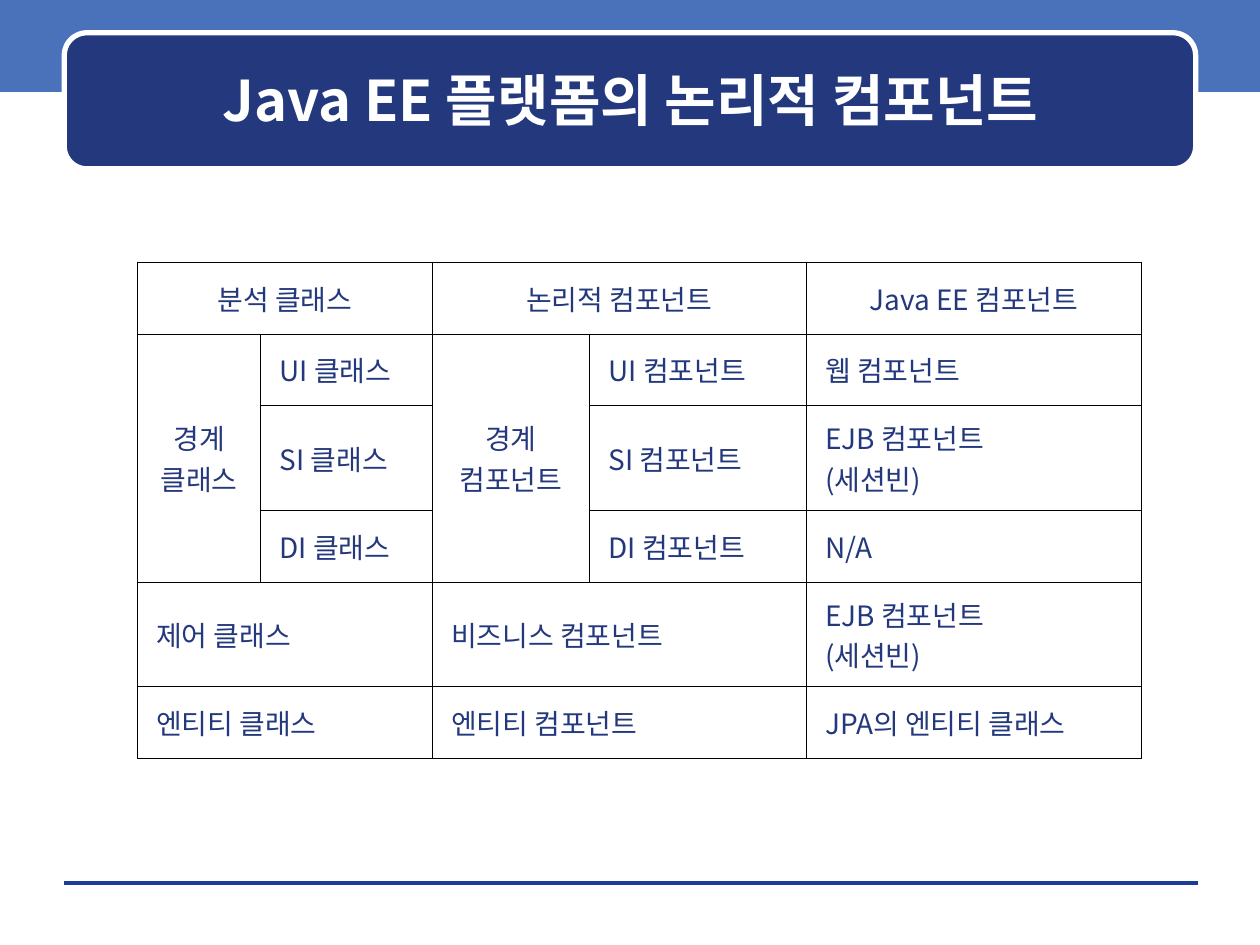
"""Build the slide that maps analysis classes to Java EE logical components."""
from typing import NamedTuple

from lxml import etree
from pptx import Presentation
from pptx import util as u
from pptx.dml import color
from pptx.enum import shapes, text
from pptx.oxml import ns

FONT = "Noto Sans CJK KR"
NAVY = "23387D"
BLUE = "4972BB"
WHITE = "FFFFFF"
COLUMNS = (0.98, 1.36, 1.25, 1.72, 2.66)
ROWS = (0.57, 0.57, 0.83, 0.57, 0.83, 0.57)
CENTER = text.PP_ALIGN.CENTER
JUSTIFY = text.PP_ALIGN.JUSTIFY


class Entry(NamedTuple):
    row: int
    column: int
    wording: str
    align: text.PP_ALIGN = JUSTIFY
    rows: int = 1
    columns: int = 1


ENTRIES = (
    Entry(0, 0, "분석 클래스", CENTER, columns=2),
    Entry(0, 2, "논리적 컴포넌트", CENTER, columns=2),
    Entry(0, 4, "Java EE 컴포넌트", CENTER),
    Entry(1, 0, "경계\n클래스", CENTER, rows=3),
    Entry(1, 1, "UI 클래스"),
    Entry(1, 2, "경계\n컴포넌트", CENTER, rows=3),
    Entry(1, 3, "UI 컴포넌트"),
    Entry(1, 4, "웹 컴포넌트"),
    Entry(2, 1, "SI 클래스"),
    Entry(2, 3, "SI 컴포넌트"),
    Entry(2, 4, "EJB 컴포넌트\n(세션빈)"),
    Entry(3, 1, "DI 클래스"),
    Entry(3, 3, "DI 컴포넌트"),
    Entry(3, 4, "N/A"),
    Entry(4, 0, "제어 클래스", columns=2),
    Entry(4, 2, "비즈니스 컴포넌트", columns=2),
    Entry(4, 4, "EJB 컴포넌트\n(세션빈)"),
    Entry(5, 0, "엔티티 클래스", columns=2),
    Entry(5, 2, "엔티티 컴포넌트", columns=2),
    Entry(5, 4, "JPA의 엔티티 클래스"),
)


def rgb(value: str) -> color.RGBColor:
    return color.RGBColor.from_string(value)


def write(frame, wording: str, size: int, fill: str, align: text.PP_ALIGN, bold: bool = False) -> None:
    frame.text = wording
    frame.vertical_anchor = text.MSO_ANCHOR.MIDDLE
    for para in frame.paragraphs:
        para.alignment = align
        font = para.font
        font.size, font.bold, font.name = u.Pt(size), bold, FONT
        font.color.rgb = rgb(fill)
        defaults = para._p.pPr.find(ns.qn("a:defRPr"))
        etree.SubElement(defaults, ns.qn("a:ea"), typeface=FONT)


def add_panel(page, kind: shapes.MSO_SHAPE, at: tuple[float, ...], fill: str):
    panel = page.shapes.add_shape(kind, *map(u.Inches, at))
    panel.shadow.inherit = False
    panel.fill.solid()
    panel.fill.fore_color.rgb = rgb(fill)
    panel.line.fill.background()
    return panel


def add_footer_line(page) -> None:
    ends = map(u.Inches, (0.51, 7.01, 9.51, 7.01))
    line = page.shapes.add_connector(shapes.MSO_CONNECTOR.STRAIGHT, *ends)
    line.line.color.rgb = rgb("1A3D97")
    line.line.width = u.Pt(0)
    etree.SubElement(line._element.spPr, ns.qn("a:effectLst"))


def add_title(page) -> None:
    title = page.shapes.title
    title.left, title.top, title.width, title.height = map(u.Inches, (0.6, 0.35, 8.81, 0.88))
    write(title.text_frame, "Java EE 플랫폼의 논리적 컴포넌트", 32, WHITE, CENTER, bold=True)
    title.text_frame.auto_size = text.MSO_AUTO_SIZE.NONE
    title.element.getparent().append(title.element)


def style_cell(cell) -> None:
    cell.margin_left = cell.margin_right = u.Inches(0.15)
    cell.margin_top = cell.margin_bottom = u.Inches(0.05)
    cell.vertical_anchor = text.MSO_ANCHOR.MIDDLE
    properties = cell._tc.get_or_add_tcPr()
    for side in ("lnL", "lnR", "lnT", "lnB"):
        border = etree.SubElement(properties, ns.qn(f"a:{side}"), w=str(u.Pt(0.45)))
        fill = etree.SubElement(border, ns.qn("a:solidFill"))
        etree.SubElement(fill, ns.qn("a:srgbClr"), val="000000")
    cell.fill.background()


def add_component_table(page) -> None:
    at = map(u.Inches, (1.09, 2.08, sum(COLUMNS), sum(ROWS)))
    table = page.shapes.add_table(len(ROWS), len(COLUMNS), *at).table
    table.first_row = table.horz_banding = False
    for column, width in zip(table.columns, COLUMNS):
        column.width = u.Inches(width)
    for row, height in zip(table.rows, ROWS):
        row.height = u.Inches(height)
    for cell in table.iter_cells():
        style_cell(cell)
    for entry in ENTRIES:
        cell = table.cell(entry.row, entry.column)
        if entry.rows * entry.columns > 1:
            cell.merge(table.cell(entry.row + entry.rows - 1, entry.column + entry.columns - 1))
        write(cell.text_frame, entry.wording, 16, NAVY, entry.align)


def main() -> None:
    deck = Presentation()
    deck.slide_width, deck.slide_height = u.Inches(10), u.Inches(7.5)
    page = deck.slides.add_slide(deck.slide_layouts[5])
    add_panel(page, shapes.MSO_SHAPE.RECTANGLE, (0, -0.03, 10, 0.76), BLUE)
    add_footer_line(page)
    banner = add_panel(page, shapes.MSO_SHAPE.ROUNDED_RECTANGLE, (0.51, 0.26, 8.98, 1.08), NAVY)
    banner.line.color.rgb = rgb(WHITE)
    banner.line.width = u.Pt(3)
    add_title(page)
    add_component_table(page)
    deck.save("out.pptx")


if __name__ == "__main__":
    main()
